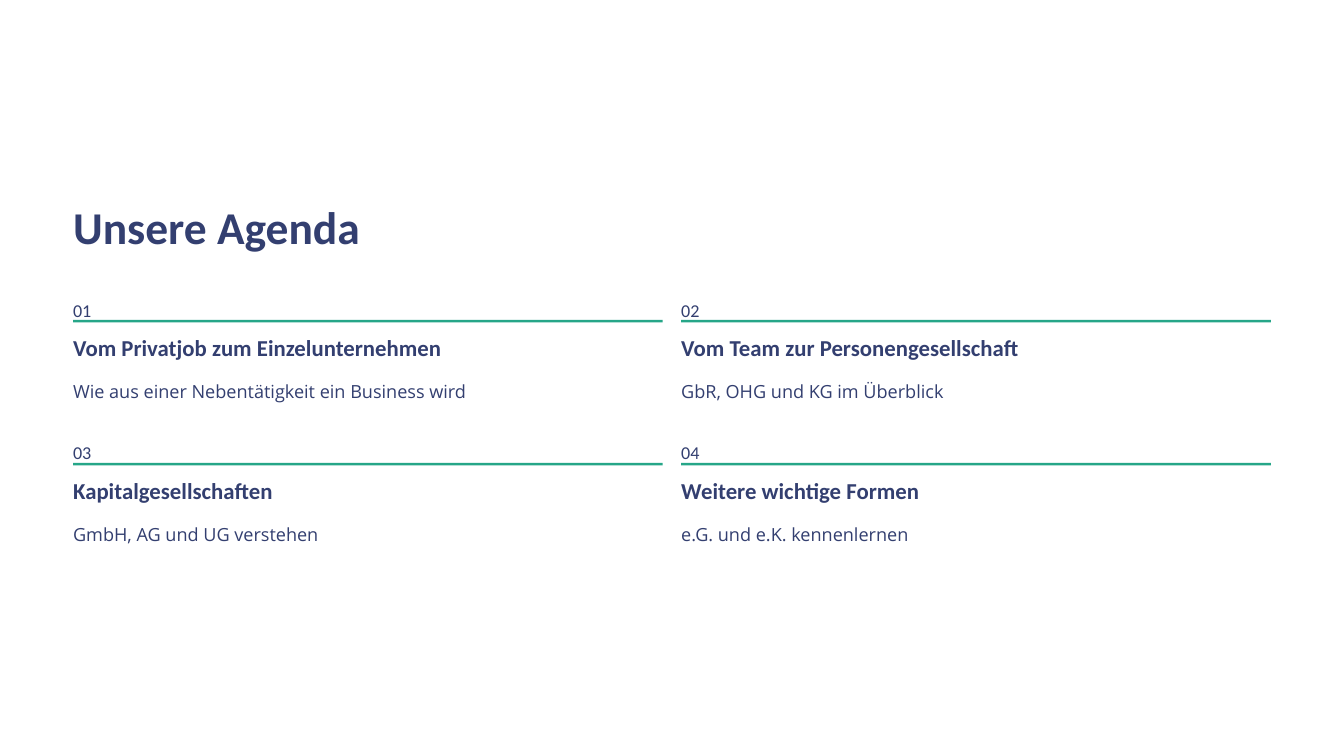
"""Build the agenda slide: a title above a two-by-two grid of numbered topics."""
from pptx import Presentation
from pptx.dml.color import RGBColor
from pptx.enum.shapes import MSO_SHAPE
from pptx.enum.text import MSO_ANCHOR, MSO_AUTO_SIZE, PP_ALIGN
from pptx.util import Inches, Pt

RECTANGLE = MSO_SHAPE.RECTANGLE
TOP = MSO_ANCHOR.TOP
NO_AUTOFIT = MSO_AUTO_SIZE.NONE
LEFT_ALIGNED = PP_ALIGN.LEFT

TITLE = "Unsere Agenda"
TOPICS = [
    ("Vom Privatjob zum Einzelunternehmen", "Wie aus einer Nebentätigkeit ein Business wird"),
    ("Vom Team zur Personengesellschaft", "GbR, OHG und KG im Überblick"),
    ("Kapitalgesellschaften", "GmbH, AG und UG verstehen"),
    ("Weitere wichtige Formen", "e.G. und e.K. kennenlernen"),
]

NAVY = "333F70"
GREEN = "26A688"
WHITE = "FFFFFF"
HEADING_FONT = "Calibri"
BODY_FONT = "Open Sans"

COLUMNS = 2
GRID_LEFT, GRID_TOP = 0.87, 3.47
COLUMN_WIDTH, COLUMN_PITCH = 7.02, 7.24
ROW_PITCH = 1.7
RULE_OFFSET, HEADING_OFFSET, DETAIL_OFFSET = 0.34, 0.5, 0.97


def color(hex_value):
    return RGBColor.from_string(hex_value)


def place(shape, left, top, width, height):
    shape.left, shape.top = Inches(left), Inches(top)
    shape.width, shape.height = Inches(width), Inches(height)


def write(shape, text, font_name, size, line_spacing, bold=False):
    frame = shape.text_frame
    frame.margin_left = frame.margin_right = frame.margin_top = frame.margin_bottom = 0
    frame.word_wrap = True
    frame.auto_size = NO_AUTOFIT
    frame.vertical_anchor = TOP
    frame.text = text
    paragraph = frame.paragraphs[0]
    paragraph.alignment = LEFT_ALIGNED
    paragraph.line_spacing = Pt(line_spacing)
    font = paragraph.runs[0].font
    font.name, font.size, font.bold = font_name, Pt(size), bold
    font.color.rgb = color(NAVY)


def add_text(slide, left, top, height, text, *style):
    shape = slide.shapes.add_textbox(0, 0, 0, 0)
    place(shape, left, top, COLUMN_WIDTH, height)
    write(shape, text, *style)


def add_rule(slide, left, top):
    rule = slide.shapes.add_shape(RECTANGLE, 0, 0, 0, 0)
    place(rule, left, top, COLUMN_WIDTH, 0.03)
    rule.shadow.inherit = False
    rule.fill.solid()
    rule.fill.fore_color.rgb = color(GREEN)
    rule.line.fill.background()


def add_topic(slide, index, heading, detail):
    row, column = divmod(index, COLUMNS)
    left = GRID_LEFT + column * COLUMN_PITCH
    top = GRID_TOP + row * ROW_PITCH
    add_text(slide, left, top, 0.27, f"{index + 1:02}", HEADING_FONT, 15.5, 25)
    add_rule(slide, left, top + RULE_OFFSET)
    add_text(slide, left, top + HEADING_OFFSET, 0.34, heading, HEADING_FONT, 19.5, 24, True)
    add_text(slide, left, top + DETAIL_OFFSET, 0.35, detail, BODY_FONT, 15.5, 25)


def main():
    presentation = Presentation()
    presentation.slide_width, presentation.slide_height = Inches(16), Inches(9)
    slide = presentation.slides.add_slide(presentation.slide_layouts[5])
    slide.background.fill.solid()
    slide.background.fill.fore_color.rgb = color(WHITE)

    title = slide.shapes.title
    place(title, GRID_LEFT, 2.35, 5.43, 0.68)
    write(title, TITLE, HEADING_FONT, 39, 48.5, True)

    for index, (heading, detail) in enumerate(TOPICS):
        add_topic(slide, index, heading, detail)

    presentation.save("out.pptx")


if __name__ == "__main__":
    main()
